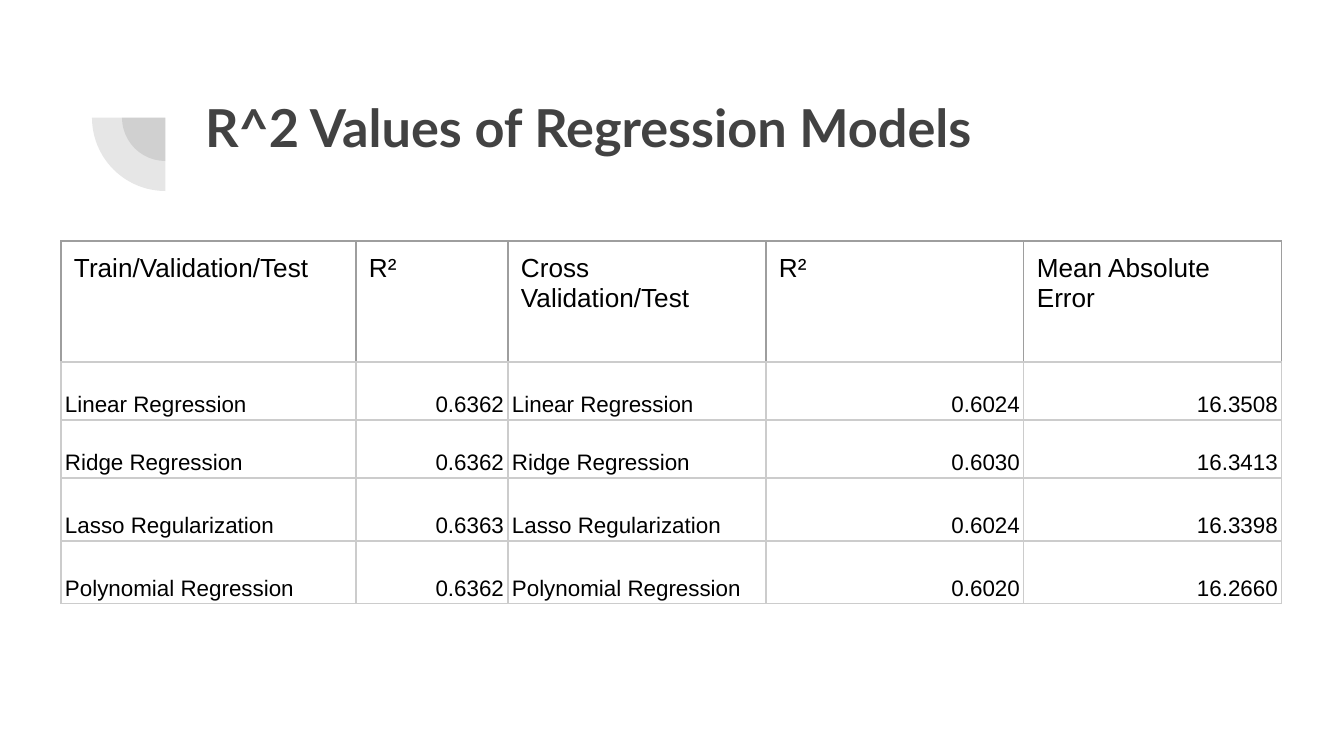
import pptx
import pptx.dml.color
import pptx.enum.shapes
import pptx.enum.text
import pptx.oxml
import pptx.oxml.ns
import pptx.util

RGBColor = pptx.dml.color.RGBColor
Align = pptx.enum.text.PP_ALIGN
Anchor = pptx.enum.text.MSO_ANCHOR

TITLE = "R^2 Values of Regression Models"
HEADER = ["Train/Validation/Test", "R²", "Cross Validation/Test", "R²", "Mean Absolute Error"]
# model, train/validation/test R², cross validation R², mean absolute error
SCORES = [
    ("Linear Regression", "0.6362", "0.6024", "16.3508"),
    ("Ridge Regression", "0.6362", "0.6030", "16.3413"),
    ("Lasso Regularization", "0.6363", "0.6024", "16.3398"),
    ("Polynomial Regression", "0.6362", "0.6020", "16.2660"),
]
ROWS = [HEADER] + [[model, split, model, cross, error] for model, split, cross, error in SCORES]

INK = RGBColor(0x42, 0x42, 0x42)
BLACK = RGBColor(0x00, 0x00, 0x00)
HEADER_RULE = RGBColor(0x9E, 0x9E, 0x9E)
BODY_RULE = RGBColor(0xCC, 0xCC, 0xCC)

SLIDE_SIZE = (1344, 756)
TITLE_BOX = (192, 82, 1034, 146)
ARC_BOXES = [(122, 74, 87, 87), (92, 44, 147, 147)]
ARC_ANGLES = (108, 162)
ARC_OPACITY = 13
TABLE_CORNER = (61, 241)
COLUMN_WIDTHS = [295, 152, 258, 258, 258]
ROW_HEIGHTS = [121, 58, 58, 63, 63]
HEADER_INSETS = (13, 13, 13, 13)
BODY_INSETS = (4, 3, 4, 3)


def px(length):
    return pptx.util.Emu(round(length * 914400 / 134.4))


def set_attributes(target, values):
    for attribute, value in values.items():
        setattr(target, attribute, value)


def set_insets(target, insets):
    sides = ("margin_left", "margin_top", "margin_right", "margin_bottom")
    set_attributes(target, dict(zip(sides, map(px, insets))))


def set_font(font, name, size, color, bold=False):
    set_attributes(font, {"name": name, "size": pptx.util.Pt(size), "bold": bold})
    font.color.rgb = color


def set_borders(cell, colors):
    """Draw 0.75 pt rules; colors maps the sides L, R, T, B in that order."""
    properties = cell._tc.get_or_add_tcPr()
    for side, color in colors.items():
        properties.append(pptx.oxml.parse_xml(
            f'<a:ln{side} {pptx.oxml.ns.nsdecls("a")} w="{pptx.util.Pt(0.75)}">'
            f'<a:solidFill><a:srgbClr val="{color}"/></a:solidFill></a:ln{side}>'))


def add_title(slide):
    title = slide.shapes.title
    set_attributes(title, dict(zip(("left", "top", "width", "height"), map(px, TITLE_BOX))))
    frame = title.text_frame
    frame.text = TITLE
    set_attributes(frame, {"word_wrap": True, "vertical_anchor": Anchor.TOP,
                           "auto_size": pptx.enum.text.MSO_AUTO_SIZE.NONE})
    set_insets(frame, HEADER_INSETS)
    heading = frame.paragraphs[0]
    heading.alignment = Align.LEFT
    set_font(heading.runs[0].font, "Lato", 28, INK, bold=True)


def add_arcs(slide):
    for box in ARC_BOXES:
        arc = slide.shapes.add_shape(pptx.enum.shapes.MSO_SHAPE.PIE, *map(px, box))
        arc.adjustments[0], arc.adjustments[1] = ARC_ANGLES
        arc.rotation = 270
        arc.shadow.inherit = False
        arc.line.fill.background()
        arc.fill.solid()
        arc.fill.fore_color.rgb = INK
        color = arc._element.spPr.find(".//" + pptx.oxml.ns.qn("a:srgbClr"))
        color.append(pptx.oxml.parse_xml(
            f'<a:alpha {pptx.oxml.ns.nsdecls("a")} val="{ARC_OPACITY * 1000}"/>'))


def add_scores(slide):
    size = (sum(COLUMN_WIDTHS), sum(ROW_HEIGHTS))
    scores = slide.shapes.add_table(
        len(ROWS), len(HEADER), *map(px, TABLE_CORNER + size)).table
    set_attributes(scores, {"first_row": False, "horz_banding": False})
    for column, width in zip(scores.columns, COLUMN_WIDTHS):
        column.width = px(width)
    for row, height in zip(scores.rows, ROW_HEIGHTS):
        row.height = px(height)

    for r, texts in enumerate(ROWS):
        is_header = r == 0
        for c, text in enumerate(texts):
            cell = scores.cell(r, c)
            cell.text = text
            rules = dict.fromkeys("LRTB", HEADER_RULE if is_header else BODY_RULE)
            rules["B"] = BODY_RULE
            set_borders(cell, rules)
            cell.fill.background()
            set_insets(cell, HEADER_INSETS if is_header else BODY_INSETS)
            cell.vertical_anchor = Anchor.TOP if is_header else Anchor.BOTTOM
            is_number = not is_header and c not in (0, 2)
            paragraph = cell.text_frame.paragraphs[0]
            set_attributes(paragraph, {
                "alignment": Align.RIGHT if is_number else Align.LEFT,
                "line_spacing": 1.0 if is_header else 1.15})
            set_font(paragraph.runs[0].font, "Arial", 14 if is_header else 12, BLACK)


def main():
    deck = pptx.Presentation()
    deck.slide_width, deck.slide_height = map(px, SLIDE_SIZE)
    slide = deck.slides.add_slide(deck.slide_layouts.get_by_name("Title Only"))
    add_title(slide)
    add_arcs(slide)
    add_scores(slide)
    deck.save("out.pptx")


if __name__ == "__main__":
    main()
